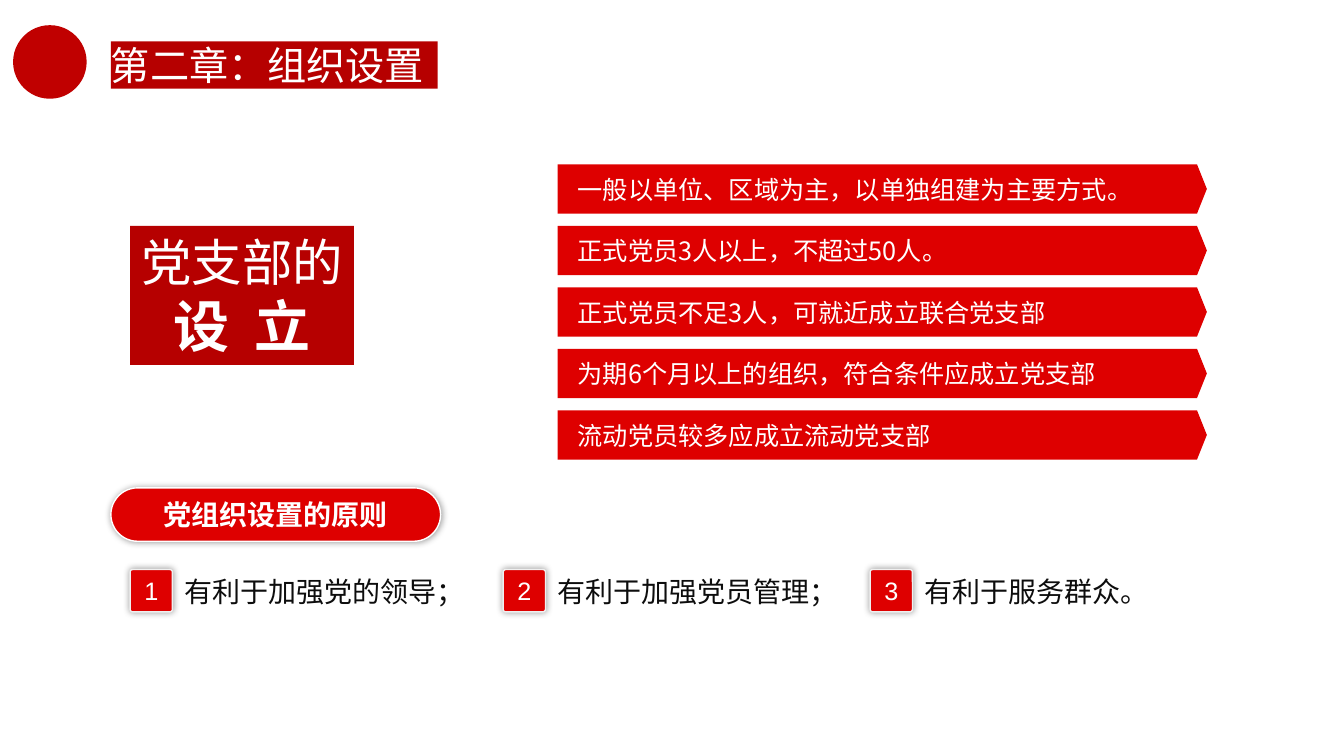
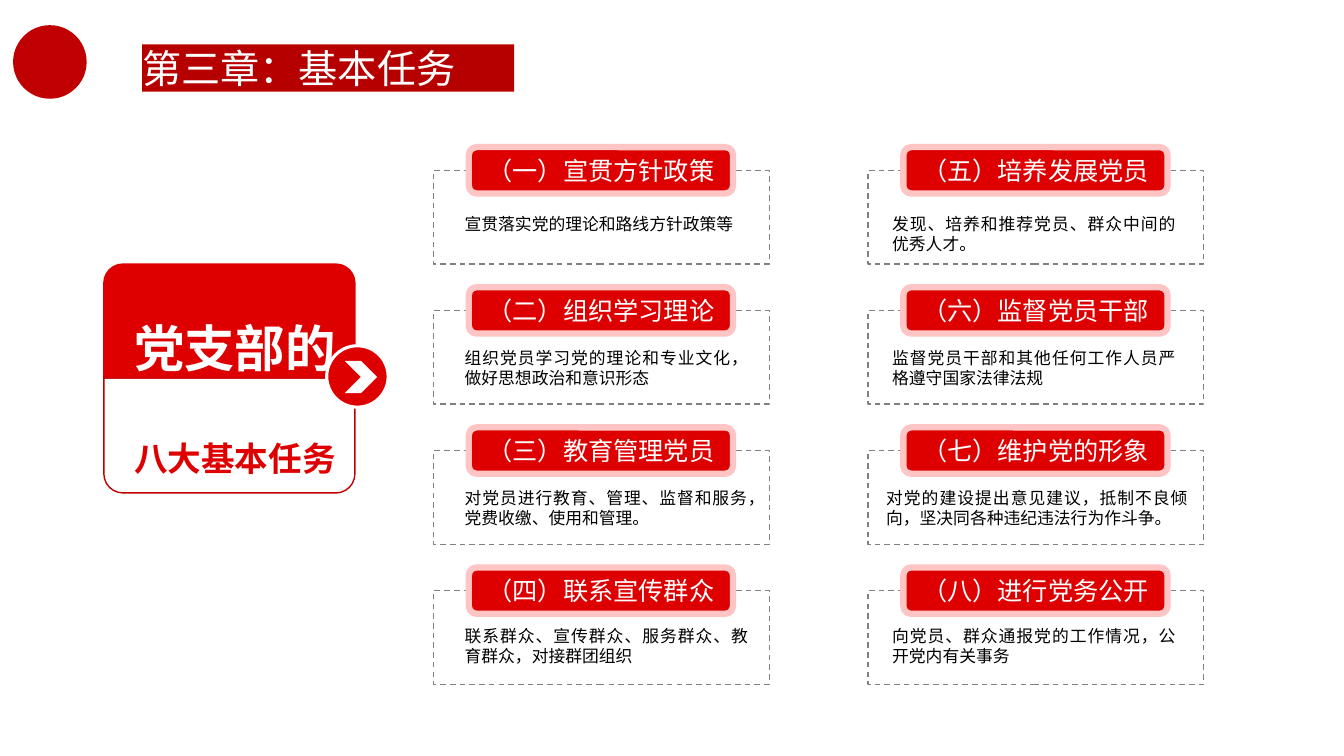
from lxml import etree
from pptx import Presentation
from pptx.dml.color import RGBColor
from pptx.enum.dml import MSO_LINE
from pptx.enum.shapes import MSO_SHAPE
from pptx.enum.text import MSO_ANCHOR, MSO_AUTO_SIZE, PP_ALIGN
from pptx.oxml.ns import qn
from pptx.util import Inches, Pt

BRIGHT_RED = RGBColor(0xDE, 0x00, 0x00)
DEEP_RED = RGBColor(0xB6, 0x00, 0x00)
EMBLEM_RED = RGBColor(0xC0, 0x00, 0x00)
PALE_RED = RGBColor(0xFF, 0xC5, 0xC5)
WHITE = RGBColor(0xFF, 0xFF, 0xFF)
OFF_WHITE = RGBColor(0xF0, 0xF0, 0xF0)
GRAY = RGBColor(0x80, 0x80, 0x80)
INK = RGBColor(0x0D, 0x0D, 0x0D)
BLACK = RGBColor(0x00, 0x00, 0x00)

CHINESE_FONT = "Noto Sans CJK SC"
LATIN_FONT = "Arial"

RECTANGLE = MSO_SHAPE.RECTANGLE
ROUNDED = MSO_SHAPE.ROUNDED_RECTANGLE
ROUNDED_TOP = MSO_SHAPE.ROUND_2_SAME_RECTANGLE
ARROW = MSO_SHAPE.PENTAGON
OVAL = MSO_SHAPE.OVAL
CHEVRON = MSO_SHAPE.CHEVRON
DASH = MSO_LINE.DASH
LEFT, CENTER, JUSTIFY = PP_ALIGN.LEFT, PP_ALIGN.CENTER, PP_ALIGN.JUSTIFY
TOP, MIDDLE = MSO_ANCHOR.TOP, MSO_ANCHOR.MIDDLE

DEFAULT_INSETS = (0.1, 0.05, 0.1, 0.05)
NO_INSETS = (0, 0, 0, 0)
TITLE_ONLY_LAYOUT = 5

ESTABLISHMENT_RULES = (
    "一般以单位、区域为主，以单独组建为主要方式。",
    "正式党员3人以上，不超过50人。",
    "正式党员不足3人，可就近成立联合党支部",
    "为期6个月以上的组织，符合条件应成立党支部",
    "流动党员较多应成立流动党支部",
)
PRINCIPLES = (
    (1.29, "有利于加强党的领导；"),
    (4.99, "有利于加强党员管理；"),
    (8.63, "有利于服务群众。"),
)
# Each column: left edge, then (heading, text, text offset, text width).
TASK_COLUMNS = (
    (4.3, (
        ("（一）宣贯方针政策", "宣贯落实党的理论和路线方针政策等", 0.21, 3.01),
        ("（二）组织学习理论", "组织党员学习党的理论和专业文化，做好思想政治和意识形态", 0.21, 3.01),
        ("（三）教育管理党员", "对党员进行教育、管理、监督和服务，党费收缴、使用和管理。", 0.21, 3.01),
        ("（四）联系宣传群众", "联系群众、宣传群众、服务群众、教育群众，对接群团组织", 0.21, 3.01),
    )),
    (8.61, (
        ("（五）培养发展党员", "发现、培养和推荐党员、群众中间的优秀人才。", 0.14, 3.01),
        ("（六）监督党员干部", "监督党员干部和其他任何工作人员严格遵守国家法律法规", 0.14, 3.01),
        ("（七）维护党的形象", "对党的建设提出意见建议，抵制不良倾向，坚决同各种违纪违法行为作斗争。", 0.08, 3.19),
        ("（八）进行党务公开", "向党员、群众通报党的工作情况，公开党内有关事务", 0.14, 3.01),
    )),
)
TASK_TEXT_DROPS = (0.38, 0.32, 0.32, 0.3)


def add_text(frame, text, *, size, color=WHITE, font=CHINESE_FONT, bold=False,
             align=LEFT, line_spacing=None, letter_spacing=None):
    """Write one paragraph, using the frame's first one while it is empty."""
    paragraph = frame.paragraphs[-1]
    if paragraph.runs:
        paragraph = frame.add_paragraph()
    paragraph.alignment = align
    if line_spacing:
        paragraph.line_spacing = line_spacing
    run = paragraph.add_run()
    run.text = text
    run.font.size = Pt(size)
    run.font.bold = bold
    run.font.color.rgb = color
    run.font.name = font
    properties = run.font._element
    etree.SubElement(properties, qn("a:ea")).set("typeface", CHINESE_FONT)
    if letter_spacing:
        properties.set("spc", str(int(letter_spacing * 100)))


def set_frame(frame, insets=DEFAULT_INSETS, anchor=TOP, wrap=True):
    frame.auto_size = MSO_AUTO_SIZE.NONE
    frame.word_wrap = wrap
    frame.vertical_anchor = anchor
    (frame.margin_left, frame.margin_top,
     frame.margin_right, frame.margin_bottom) = map(Inches, insets)


def add_glow_shadow(shape):
    """Put a soft shadow evenly around the shape."""
    effects = shape._element.spPr.find(qn("a:effectLst"))
    shadow = etree.SubElement(effects, qn("a:outerShdw"), blurRad=str(Pt(5)),
                              dist="0", dir="0", algn="ctr", rotWithShape="0")
    color = etree.SubElement(shadow, qn("a:srgbClr"), val="000000")
    etree.SubElement(color, qn("a:alpha"), val="40000")


class Deck:
    def __init__(self):
        self.presentation = Presentation()
        self.presentation.slide_width = Inches(13.33)
        self.presentation.slide_height = Inches(7.5)
        self.slide = None

    def new_slide(self, title, box):
        layout = self.presentation.slide_layouts[TITLE_ONLY_LAYOUT]
        self.slide = self.presentation.slides.add_slide(layout)
        placeholder = self.slide.shapes.title
        (placeholder.left, placeholder.top,
         placeholder.width, placeholder.height) = map(Inches, box)
        placeholder.fill.solid()
        placeholder.fill.fore_color.rgb = DEEP_RED
        set_frame(placeholder.text_frame, NO_INSETS)
        add_text(placeholder.text_frame, title, size=28)
        self.shape(OVAL, (0.13, 0.25, 0.73, 0.73), fill=EMBLEM_RED)

    def shape(self, kind, box, *, fill=None, line=None, line_width=1, dash=None,
              corner=None, shadow=False):
        shape = self.slide.shapes.add_shape(kind, *map(Inches, box))
        shape.shadow.inherit = False
        if fill is None:
            shape.fill.background()
        else:
            shape.fill.solid()
            shape.fill.fore_color.rgb = fill
        if line is None:
            shape.line.fill.background()
        else:
            shape.line.color.rgb = line
            shape.line.width = Pt(line_width)
            if dash:
                shape.line.dash_style = dash
        if corner is not None:
            shape.adjustments[0] = corner
        if shadow:
            add_glow_shadow(shape)
        return shape

    def label(self, kind, box, text, *, size, insets=NO_INSETS, align=CENTER,
              font=CHINESE_FONT, bold=False, **look):
        """Add a red shape with one line of white text in its middle."""
        shape = self.shape(kind, box, fill=BRIGHT_RED, **look)
        set_frame(shape.text_frame, insets, MIDDLE)
        add_text(shape.text_frame, text, size=size, align=align, font=font, bold=bold)

    def text_box(self, box):
        frame = self.slide.shapes.add_textbox(*map(Inches, box)).text_frame
        set_frame(frame)
        return frame

    def principle(self, left, number, text):
        top = 5.65
        self.label(ROUNDED, (left, top, 0.42, 0.42), str(number), size=18,
                   font=LATIN_FONT, corner=0.06, line=OFF_WHITE, shadow=True)
        add_text(self.text_box((left + 0.44, top, 3.31, 0.44)), text,
                 size=20, color=INK)

    def task_card(self, left, top, heading, text, text_box):
        self.shape(RECTANGLE, (left, top, 3.33, 0.93), line=GRAY, dash=DASH)
        self.label(ROUNDED, (left + 0.35, top - 0.23, 2.62, 0.46), heading, size=18,
                   insets=DEFAULT_INSETS, line=PALE_RED, line_width=4.5)
        add_text(self.text_box(text_box), text, size=12, color=BLACK,
                 font=LATIN_FONT, align=JUSTIFY)


def build_organization(deck):
    deck.new_slide("第二章：组织设置", (1.1, 0.41, 3.24, 0.47))

    topic = deck.shape(RECTANGLE, (1.29, 2.24, 2.22, 1.38), fill=DEEP_RED).text_frame
    set_frame(topic, wrap=False)
    add_text(topic, "党支部的", size=36, align=CENTER)
    add_text(topic, "设 立", size=40, bold=True, align=CENTER, letter_spacing=4.5)

    for row, rule in enumerate(ESTABLISHMENT_RULES):
        deck.label(ARROW, (5.53, 1.63 + 0.61 * row, 6.44, 0.49), rule, size=18,
                   insets=(0.2, 0, 0, 0), align=LEFT, corner=0.2)

    deck.label(ROUNDED, (1.1, 4.84, 3.27, 0.53), "党组织设置的原则", size=20,
               font=LATIN_FONT, bold=True, corner=0.5, line=WHITE, shadow=True)
    for number, (left, text) in enumerate(PRINCIPLES, start=1):
        deck.principle(left, number, text)


def build_tasks(deck):
    deck.new_slide("第三章：基本任务", (1.41, 0.44, 3.69, 0.47))

    deck.shape(ROUNDED_TOP, (1.03, 2.62, 2.49, 1.13), fill=BRIGHT_RED, line=BRIGHT_RED)
    lower_half = deck.shape(ROUNDED_TOP, (1.03, 3.75, 2.49, 1.14), line=EMBLEM_RED)
    lower_half.rotation = 180
    topic = deck.text_box((1.14, 2.2, 2.38, 2.46))
    for text, size, color in (("党支部的", 36, WHITE), ("八大基本任务", 24, BRIGHT_RED)):
        add_text(topic, text, size=size, color=color, bold=True, align=CENTER,
                 line_spacing=2.5)
    deck.shape(OVAL, (3.24, 3.43, 0.61, 0.61), fill=BRIGHT_RED, line=WHITE,
               line_width=2.25)
    deck.shape(CHEVRON, (3.42, 3.58, 0.32, 0.32), fill=WHITE)

    for left, tasks in TASK_COLUMNS:
        for row, (heading, text, offset, width) in enumerate(tasks):
            top = 1.69 + 1.39 * row
            text_box = (left + offset, top + TASK_TEXT_DROPS[row], width, 0.5)
            deck.task_card(left, top, heading, text, text_box)


def main():
    deck = Deck()
    build_organization(deck)
    build_tasks(deck)
    deck.presentation.save("out.pptx")


if __name__ == "__main__":
    main()
